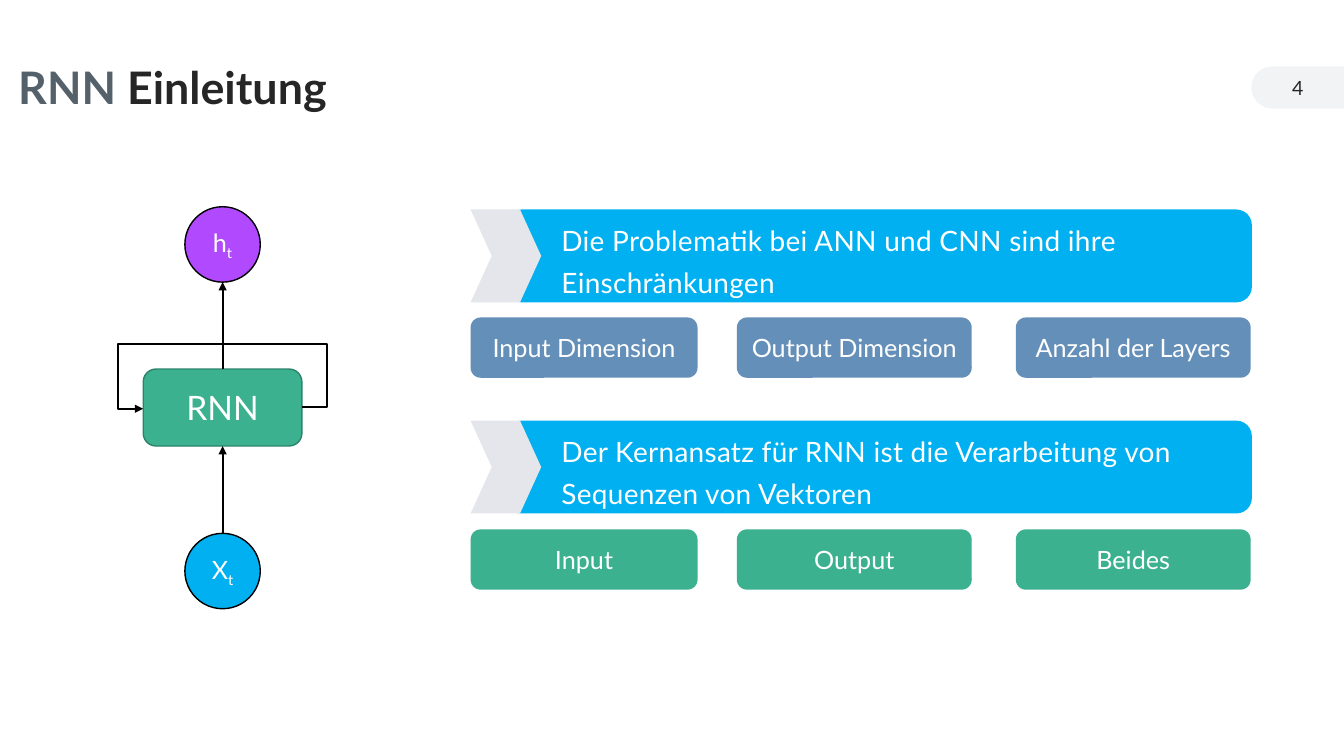
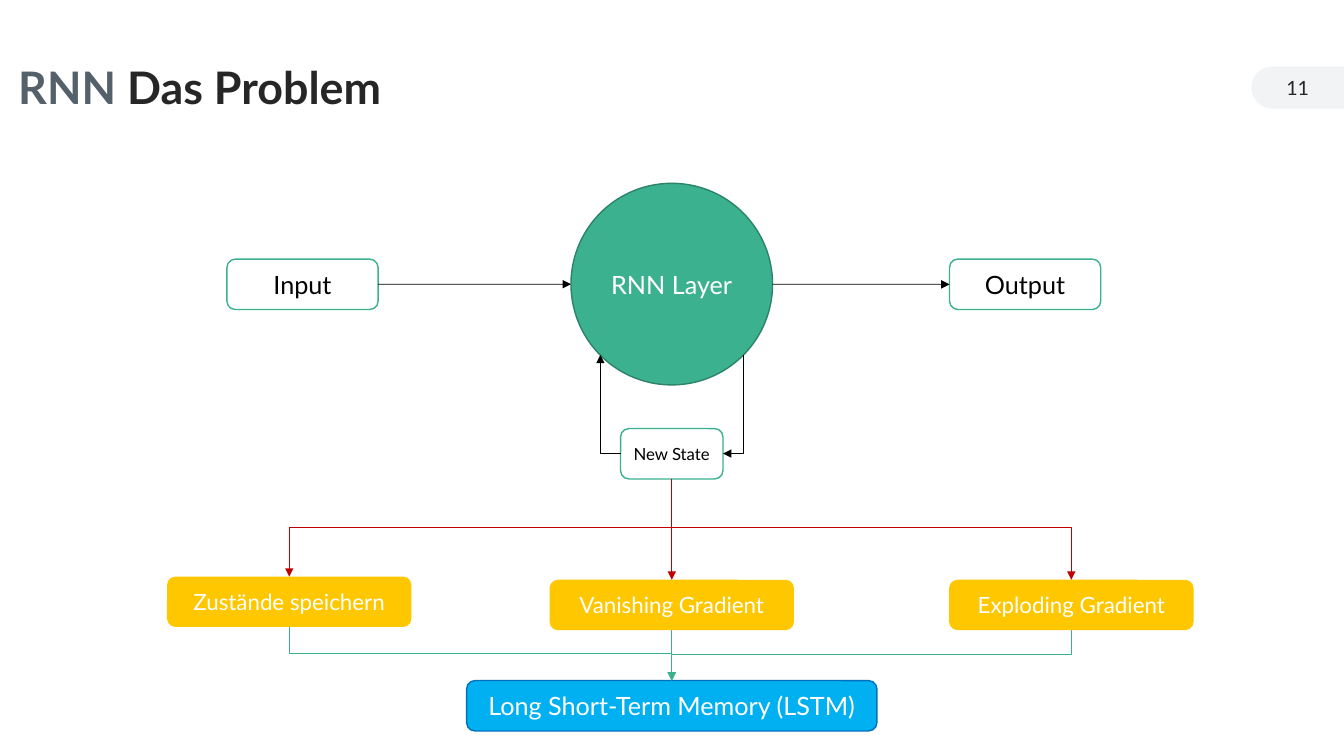
import pptx
import pptx.util
import pptx.dml.color
import pptx.enum.shapes
import pptx.enum.text
import pptx.oxml
import pptx.oxml.ns
from dataclasses import dataclass

Cm = pptx.util.Cm
Pt = pptx.util.Pt
SHAPE = pptx.enum.shapes.MSO_SHAPE
CONNECTOR = pptx.enum.shapes.MSO_CONNECTOR
ALIGN = pptx.enum.text.PP_ALIGN
qn = pptx.oxml.ns.qn
rgb = pptx.dml.color.RGBColor.from_string
TOP, LEFT, BOTTOM, RIGHT = range(4)


@dataclass(frozen=True)
class Theme:
    font: str = "Lato"
    white: str = "FFFFFF"
    black: str = "000000"
    ink: str = "262626"
    slate: str = "55616A"
    pill: str = "F1F3F5"
    chevron: str = "E4E6EB"
    blue: str = "00B0F0"
    blue_edge: str = "0070C0"
    steel: str = "648FB9"
    green: str = "3BB18F"
    green_edge: str = "2C836A"
    purple: str = "B14AFF"
    yellow: str = "FFC700"
    red: str = "C00000"
    title: int = 32
    large: int = 24
    statement: int = 20
    body: int = 18
    label: int = 16
    number: int = 14
    small: int = 12


theme = Theme()


def add_box(slide, kind, box, fill=None, edge=None, runs=(), size=theme.body,
            color=theme.white, align=ALIGN.CENTER):
    """Add a preset shape, or a text box if kind is None; box is in cm."""
    place = [Cm(value) for value in box]
    if kind is None:
        shape = slide.shapes.add_textbox(*place)
        shape.text_frame.margin_left = shape.text_frame.margin_right = 0
    else:
        shape = slide.shapes.add_shape(kind, *place)
        shape.shadow.inherit = False
        shape.fill.solid()
        shape.fill.fore_color.rgb = rgb(fill)
        if edge:
            shape.line.color.rgb = rgb(edge)
            shape.line.width = Pt(1)
        else:
            shape.line.fill.background()
    if runs:
        frame = shape.text_frame
        frame.word_wrap = True
        frame.vertical_anchor = pptx.enum.text.MSO_ANCHOR.MIDDLE
        paragraph = frame.paragraphs[0]
        paragraph.alignment = align
        for text in runs:
            paragraph.add_run().text = text
        paragraph.font.name = theme.font
        paragraph.font.size = Pt(size)
        paragraph.font.color.rgb = rgb(color)
    return shape


def add_arrow(slide, start, end, color=theme.black, width=0.5, bend=None,
              turn=0, flip=False, adjust=()):
    """Add a straight arrow, or an elbow with the given number of bends."""
    (x1, y1), (x2, y2) = start, end
    if bend:
        wide, high = abs(x2 - x1), abs(y2 - y1)
        if turn in (90, 270):
            wide, high = high, wide
        left, top = (x1 + x2 - wide) / 2, (y1 + y2 - high) / 2
        x1, y1, x2, y2 = left, top, left + wide, top + high
    kind = CONNECTOR.ELBOW if bend else CONNECTOR.STRAIGHT
    arrow = slide.shapes.add_connector(kind, Cm(x1), Cm(y1), Cm(x2), Cm(y2))
    arrow.line.color.rgb = rgb(color)
    arrow.line.width = Pt(width)
    properties = arrow._element.spPr
    if bend:
        frame = properties.find(qn("a:xfrm"))
        frame.set("rot", str(turn * 60000))
        if flip:
            frame.set("flipH", "1")
        geometry = properties.find(qn("a:prstGeom"))
        geometry.set("prst", f"bentConnector{bend}")
        guides = geometry.find(qn("a:avLst"))
        for number, value in enumerate(adjust, 1):
            guide = pptx.oxml.parse_xml(
                f'<a:gd {pptx.oxml.ns.nsdecls("a")} name="adj{number}" '
                f'fmla="val {round(value * 100000)}"/>')
            guides.append(guide)
    head = pptx.oxml.parse_xml(f'<a:tailEnd {pptx.oxml.ns.nsdecls("a")} type="triangle"/>')
    properties.find(qn("a:ln")).append(head)
    properties.append(pptx.oxml.parse_xml(f'<a:effectLst {pptx.oxml.ns.nsdecls("a")}/>'))
    return arrow


deck = pptx.Presentation()
deck.slide_width, deck.slide_height = Cm(33.87), Cm(19.05)

# Shared header: page number tab and two-tone title
slides = []
for page, topic in (("4", "Einleitung"), ("11", "Das Problem")):
    slide = deck.slides.add_slide(deck.slide_layouts[6])
    tab = add_box(slide, SHAPE.ROUND_2_SAME_RECTANGLE, (32.17, 1.04, 1.06, 2.33), theme.pill)
    tab.rotation = 270
    tab.adjustments[0] = 0.5
    add_box(slide, None, (31.54, 1.7, 2.33, 1.02), runs=[page],
            size=theme.number, color=theme.ink)
    title = add_box(slide, None, (0.46, 1.14, 21.97, 2.24), runs=["RNN ", topic],
                    size=theme.title, color=theme.ink, align=ALIGN.LEFT)
    heading = title.text_frame.paragraphs[0]
    heading.line_spacing = 0.9
    heading.font.bold = True
    heading.runs[0].font.color.rgb = rgb(theme.slate)
    slides.append(slide)
intro, problem = slides

# Introduction: two statements, each with a row of three tiles
columns = ((11.86, 5.72), (18.57, 5.92), (25.6, 5.92))
statements = (
    (5.28, "Die Problematik bei ANN und CNN sind ihre Einschränkungen", 8.0, theme.steel,
     ("Input Dimension", "Output Dimension", "Anzahl der Layers")),
    (10.6, "Der Kernansatz für RNN ist die Verarbeitung von Sequenzen von Vektoren", 13.34,
     theme.green, ("Input", "Output", "Beides")),
)
for band_top, statement, tile_top, tile_color, tiles in statements:
    add_box(intro, SHAPE.ROUNDED_RECTANGLE, (12.75, band_top, 18.8, 2.34), theme.blue)
    chevron = add_box(intro, SHAPE.CHEVRON, (11.86, band_top, 1.78, 2.34), theme.chevron)
    chevron.adjustments[0] = 0.3
    sentence = add_box(intro, None, (14.15, band_top, 16.99, 2.39), runs=[statement],
                       size=theme.statement, align=ALIGN.LEFT)
    sentence.text_frame.paragraphs[0].line_spacing = 1.25
    sentence.text_frame.paragraphs[0].font._rPr.set("spc", "20")
    for (left, width), tile in zip(columns, tiles):
        add_box(intro, SHAPE.ROUNDED_RECTANGLE, (left, tile_top, width, 1.52),
                tile_color, runs=[tile])

# Introduction: recurrent cell with input and hidden state
cell_x = 5.61
for letter, top, fill in (("X", 13.44, theme.blue), ("h", 5.21, theme.purple)):
    state = add_box(intro, SHAPE.OVAL, (cell_x - 0.95, top, 1.9, 1.9), fill,
                    theme.black, [letter, "t"])
    state.text_frame.paragraphs[0].runs[1].font._rPr.set("baseline", "-25000")
cell = add_box(intro, SHAPE.ROUNDED_RECTANGLE, (cell_x - 2, 9.3, 4, 1.94), theme.green,
               theme.green_edge, ["RNN"], theme.large)
add_arrow(intro, (cell_x, 13.44), (cell_x, 11.24), width=1.5).end_connect(cell, BOTTOM)
add_arrow(intro, (cell_x, 9.3), (cell_x, 7.11), width=1.5).begin_connect(cell, TOP)
add_arrow(intro, (cell_x + 2, 10.26), (cell_x - 2, 10.3), width=1.5, bend=5, flip=True,
          adjust=(-0.16, -40, 1.16))

# Problem: input, recurrent layer, output and new state
middle_x, flow_y = 16.93, 7.16
add_box(problem, SHAPE.OVAL, (middle_x - 2.54, flow_y - 2.54, 5.08, 5.08), theme.green,
        theme.green_edge, ["RNN Layer"])
ends = [add_box(problem, SHAPE.ROUNDED_RECTANGLE, (left, flow_y - 0.63, 3.81, 1.27),
                theme.white, theme.green, [word], color=theme.black)
        for left, word in ((5.72, "Input"), (23.93, "Output"))]
add_arrow(problem, (9.53, flow_y), (14.39, flow_y)).begin_connect(ends[0], RIGHT)
add_arrow(problem, (19.47, flow_y), (23.93, flow_y)).end_connect(ends[1], LEFT)
new_state = add_box(problem, SHAPE.ROUNDED_RECTANGLE, (middle_x - 1.29, 10.8, 2.58, 1.27),
                    theme.white, theme.green, ["New State"], theme.small, theme.black)
add_arrow(problem, (18.73, 8.94), (18.22, 11.43), bend=2, turn=90)
add_arrow(problem, (15.64, 11.43), (15.13, 8.94), bend=2, turn=180)

# Problem: three difficulties leading to LSTM
lstm = add_box(problem, SHAPE.ROUNDED_RECTANGLE, (middle_x - 5.17, 17.15, 10.34, 1.27),
               theme.blue, theme.blue_edge, ["Long Short-Term Memory (LSTM)"])
difficulties = ((7.29, 14.53, "Zustände speichern"), (middle_x, 14.61, "Vanishing Gradient"),
                (27, 14.61, "Exploding Gradient"))
for x, top, difficulty in difficulties:
    box = add_box(problem, SHAPE.ROUNDED_RECTANGLE, (x - 3.08, top, 6.16, 1.27),
                  theme.yellow, runs=[difficulty], size=theme.label)
    links = (((middle_x, 12.07), (x, top), theme.red, new_state, box),
             ((x, top + 1.27), (middle_x, 17.15), theme.green, box, lstm))
    for start, end, color, source, target in links:
        if x == middle_x:
            arrow = add_arrow(problem, start, end, color)
            arrow.begin_connect(source, BOTTOM)
            arrow.end_connect(target, TOP)
        else:
            rightward = end[0] > start[0]
            add_arrow(problem, start, end, color, bend=3, turn=270 if rightward else 90,
                      flip=rightward, adjust=(0.5 if x < middle_x else 0.48,))

deck.save("out.pptx")
